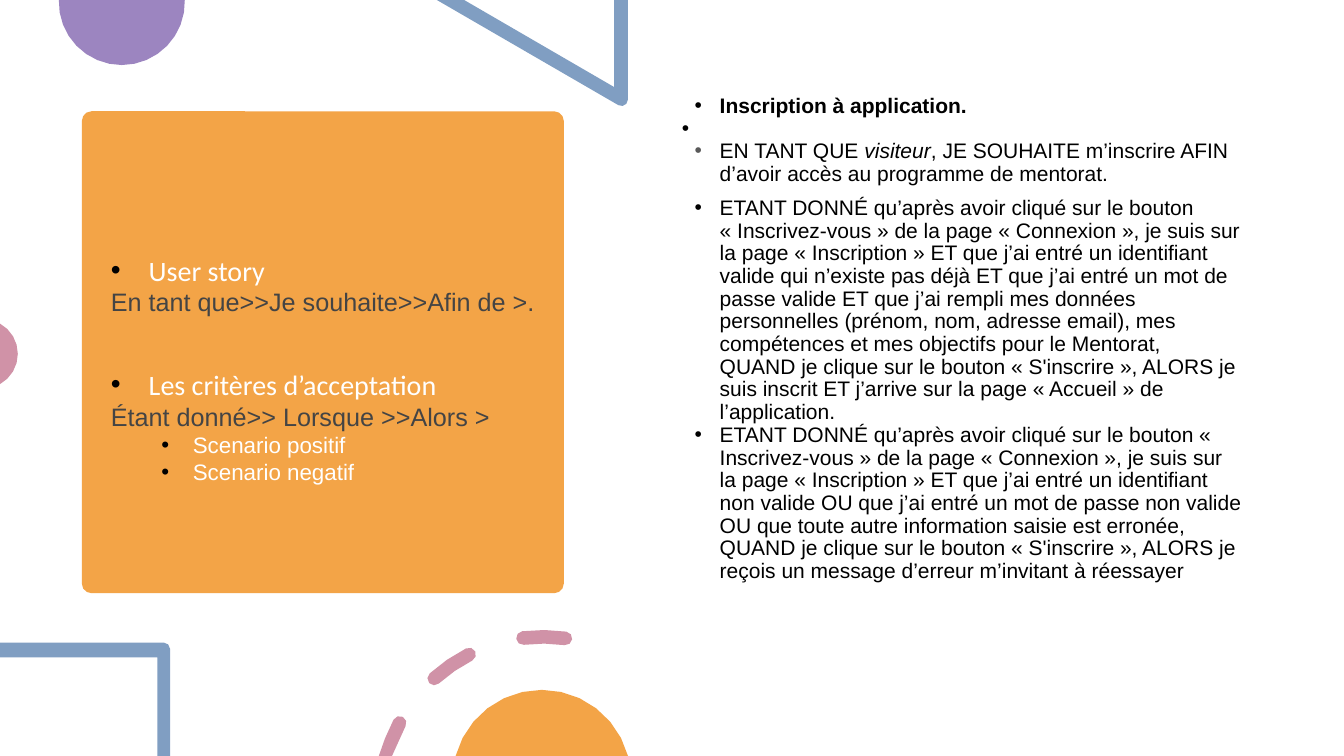
from math import cos, radians, sin

from lxml import etree
from pptx import Presentation
from pptx import util as u
from pptx.dml.color import RGBColor
from pptx.enum import shapes, text
from pptx.oxml.ns import qn

PX = 9525
WIDTH, HEIGHT = 1280, 720
ORANGE, PURPLE, BLUE, PINK = "F3A447", "9C85C0", "809EC2", "D092A7"
WHITE, BLACK, GREY, DARK = "FFFFFF", "000000", "595959", "444444"
HARD_SPACE = chr(160)


def px(value):
    return round(value * PX)


def colour(hex_code):
    return RGBColor.from_string(hex_code)


def paint(shape, fill):
    shape.shadow.inherit = False
    shape.fill.solid()
    shape.fill.fore_color.rgb = colour(fill)
    shape.line.fill.background()


def add_panel(page, kind, fill, left, top, width, height):
    panel = page.shapes.add_shape(kind, px(left), px(top), px(width), px(height))
    paint(panel, fill)
    return panel


def arc(x, y, radius, start, end, steps):
    angles = [radians(start + (end - start) * i / steps) for i in range(steps + 1)]
    return [(x + radius * cos(a), y + radius * sin(a)) for a in angles]


def add_outline(page, fill, *contours):
    builder = None
    for contour in contours:
        points = [(px(x), px(min(max(y, 0), HEIGHT))) for x, y in contour]
        if builder is None:
            builder = page.shapes.build_freeform(*points[0], scale=1.0)
        else:
            builder.move_to(*points[0])
        builder.add_line_segments(points[1:], close=True)
    paint(builder.convert_to_shape(), fill)


def dash(start, end):
    x, y, inner, outer = 517, 761, 148, 161
    middle, cap = (inner + outer) / 2, (outer - inner) / 2
    tail, head = arc(x, y, middle, start, end, 1)
    return (arc(x, y, outer, start, end, 2) + arc(*head, cap, end, end + 180, 4)[1:-1]
            + arc(x, y, inner, end, start, 2) + arc(*tail, cap, start + 180, start + 360, 4)[1:-1])


def add_bullet(para, hex_code, margin, indent):
    props = para._p.get_or_add_pPr()
    props.set("marL", str(px(margin)))
    props.set("indent", str(px(indent)))
    tint = etree.SubElement(props, qn("a:buClr"))
    etree.SubElement(tint, qn("a:srgbClr")).set("val", hex_code)
    etree.SubElement(props, qn("a:buFont")).set("typeface", "Arial")
    etree.SubElement(props, qn("a:buChar")).set("char", "•")


def add_para(frame, spans, size, hex_code, name="Arial", bullet=None, spacing=None, level=0):
    first = not frame.paragraphs[0].runs
    para = frame.paragraphs[0] if first else frame.add_paragraph()
    para.alignment = text.PP_ALIGN.LEFT
    para.level = level
    if spacing:
        para.line_spacing = spacing
    if bullet:
        add_bullet(para, *bullet)
    para.font.size = u.Pt(size)
    para.font.name = name
    para.font.color.rgb = colour(hex_code)
    for words in spans:
        para.add_run().text = words
    return para


def quoted(words):
    return HARD_SPACE.join(("«", words, "»"))


def add_card(page):
    card = add_panel(page, shapes.MSO_SHAPE.ROUNDED_RECTANGLE, ORANGE, 78, 106, 459, 459)
    card.adjustments[0] = 0.02
    frame = card.text_frame
    frame.word_wrap = True
    frame.vertical_anchor = text.MSO_ANCHOR.MIDDLE
    frame.margin_left, frame.margin_right = px(25), px(10)
    sections = [("User story", 2.0, "En tant que>>Je souhaite>>Afin de >."),
                ("Les critères d’acceptation", 2.5, "Étant donné>> Lorsque >>Alors >")]
    for title, spacing, formula in sections:
        add_para(frame, [title], 20, WHITE, "Calibri", (BLACK, 36, -36), spacing)
        add_para(frame, [formula], 18, DARK)
    for scenario in ("Scenario positif", "Scenario negatif"):
        add_para(frame, [scenario], 16, WHITE, bullet=(BLACK, 78, -30), level=1)


def add_story(page):
    box = page.shapes.add_textbox(px(640), px(86), px(552), px(514))
    frame = box.text_frame
    frame.word_wrap = True

    def item(*spans, tint=BLACK, margin=36):
        return add_para(frame, spans, 15, BLACK, bullet=(tint, margin, -24), spacing=0.9)

    item("Inscription à application.").font.bold = True
    item(" ", margin=12)
    wish = item("EN TANT QUE ", "visiteur",
                ", JE SOUHAITE m’inscrire AFIN d’avoir accès au programme de mentorat.",
                tint=GREY)
    wish.runs[1].font.italic = True
    wish.space_after = u.Pt(8)
    item(f"ETANT DONNÉ qu’après avoir cliqué sur le bouton {quoted('Inscrivez-vous')} de la page "
         f"{quoted('Connexion')}, je suis sur la page {quoted('Inscription')} ET que j’ai entré "
         "un identifiant valide qui n’existe pas déjà ET que j’ai entré un mot de passe valide "
         "ET que j’ai rempli mes données personnelles (prénom, nom, adresse email), mes "
         "compétences et mes objectifs pour le Mentorat, QUAND je clique sur le bouton "
         "« S'inscrire », ALORS je suis inscrit ET j’arrive sur la page « Accueil » de "
         "l’application.")
    item("ETANT DONNÉ qu’après avoir cliqué sur le bouton « Inscrivez-vous » de la page "
         "« Connexion », je suis sur la page « Inscription » ET que j’ai entré un identifiant "
         "non valide OU que j’ai entré un mot de passe non valide OU que toute autre information "
         "saisie est erronée, QUAND je clique sur le bouton « S'inscrire », ALORS je reçois un "
         "message d’erreur m’invitant à réessayer")


def main():
    deck = Presentation()
    deck.slide_width, deck.slide_height = px(WIDTH), px(HEIGHT)
    page = deck.slides.add_slide(deck.slide_layouts[6])
    add_panel(page, shapes.MSO_SHAPE.RECTANGLE, WHITE, 0, 0, WIDTH, HEIGHT)
    add_card(page)
    add_outline(page, PURPLE, arc(116, 2, 60, -2, 182, 16))
    add_outline(page, BLUE, [(416, 0), (442, 0), (585, 83), (585, 0), (598, 0)]
                + arc(592, 95, 6, 0, 120, 3))
    add_outline(page, PINK, arc(-16, 337, 33, -61, 61, 8))
    add_story(page)
    add_outline(page, BLUE, [(162, 720), (150, 720), (150, 626), (0, 626), (0, 612)]
                + arc(156, 618, 6, -90, 0, 2))
    add_outline(page, PINK, dash(194, 208), dash(228, 243), dash(263, 278))
    add_outline(page, ORANGE, arc(516, 742, 85, 195, 345, 12))
    deck.save("out.pptx")


if __name__ == "__main__":
    main()
